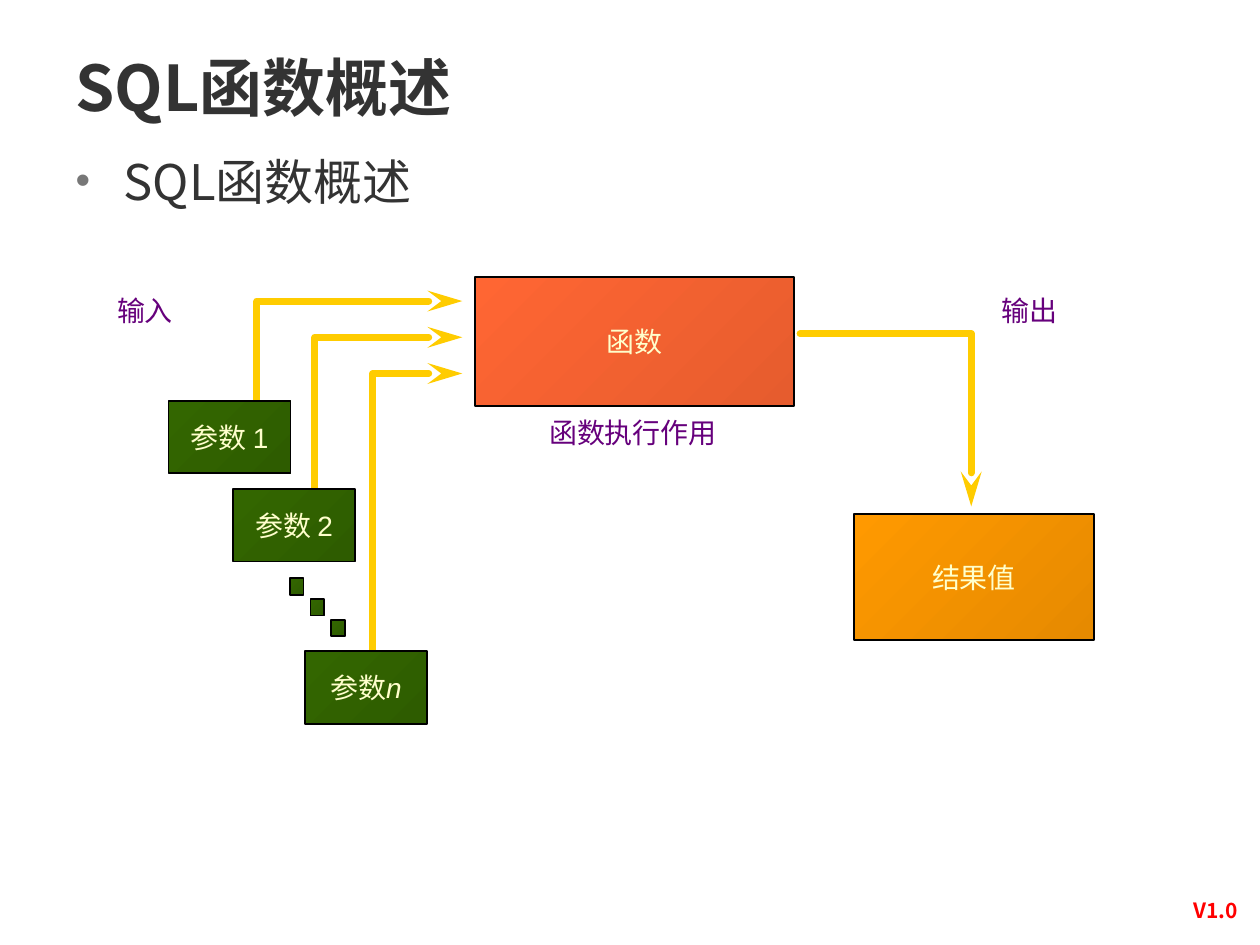
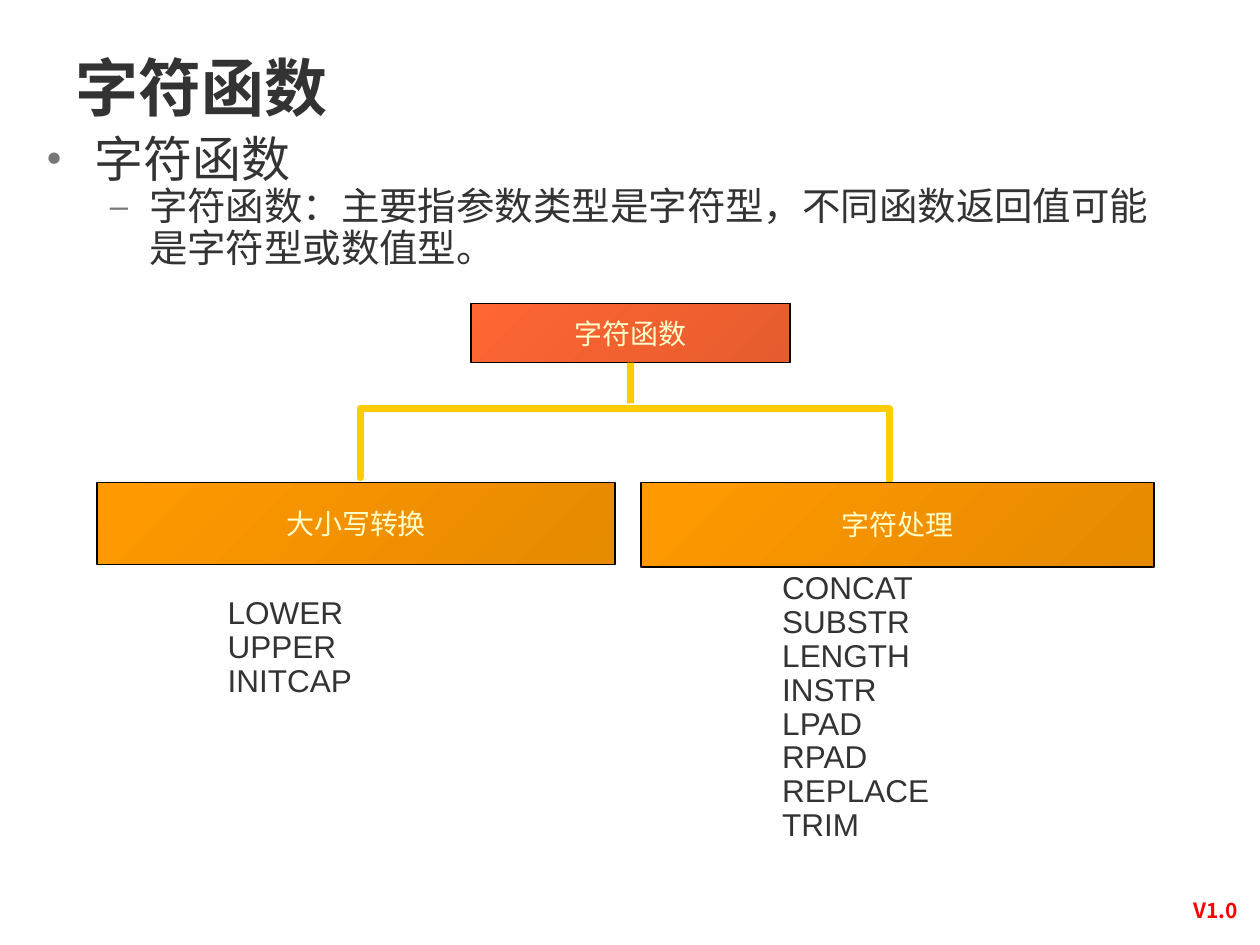
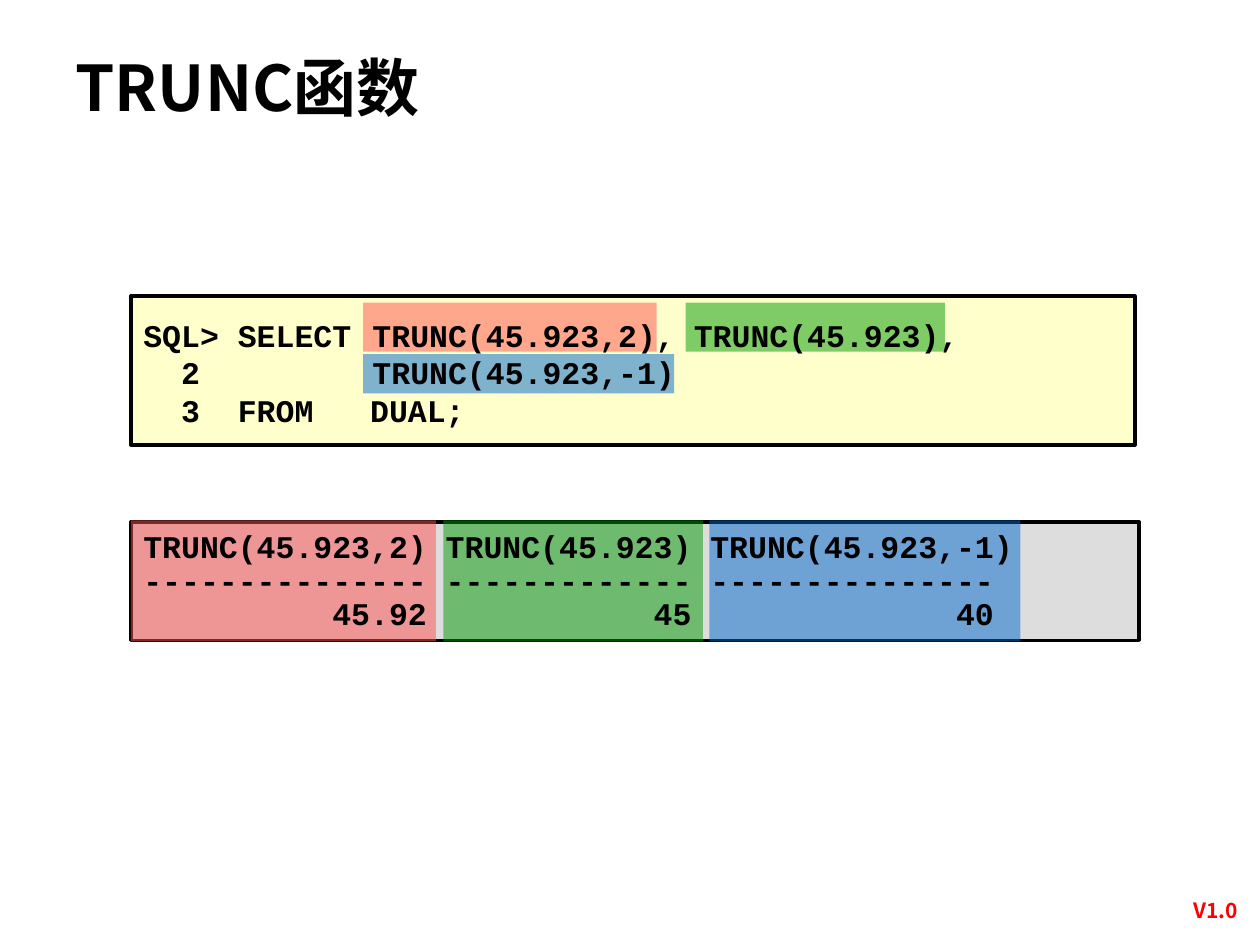
from lxml import etree
from pptx import Presentation
from pptx.dml.color import RGBColor
from pptx.enum.shapes import MSO_CONNECTOR, MSO_SHAPE
from pptx.enum.text import MSO_ANCHOR, MSO_AUTO_SIZE, PP_ALIGN
from pptx.oxml.ns import qn
from pptx.util import Cm, Pt

RECT = MSO_SHAPE.RECTANGLE
STRAIGHT = MSO_CONNECTOR.STRAIGHT
LEFT, CENTER = PP_ALIGN.LEFT, PP_ALIGN.CENTER
TOP, MIDDLE = MSO_ANCHOR.TOP, MSO_ANCHOR.MIDDLE
NO_FIT = MSO_AUTO_SIZE.NONE

BLACK = RGBColor(0x00, 0x00, 0x00)
TEXT = RGBColor(0x33, 0x33, 0x33)
CREAM = RGBColor(0xFF, 0xFF, 0xCC)
PURPLE = RGBColor(0x66, 0x00, 0x7C)
YELLOW = RGBColor(0xFF, 0xCC, 0x00)
SILVER = RGBColor(0xDD, 0xDD, 0xDD)
FOOTER_RED = RGBColor(0xFF, 0x00, 0x00)
RED_MARK = RGBColor(0xFF, 0x50, 0x50)
GREEN_MARK = RGBColor(0x00, 0x99, 0x00)
BLUE_MARK = RGBColor(0x00, 0x66, 0xCC)
CORAL = (RGBColor(0xFF, 0x66, 0x33), RGBColor(0xE6, 0x5C, 0x2E))
GREEN = (RGBColor(0x33, 0x66, 0x00), RGBColor(0x2E, 0x5C, 0x00))
ORANGE = (RGBColor(0xFF, 0x99, 0x00), RGBColor(0xE6, 0x8A, 0x00))
BULLET_GREY = "777777"

CJK = "Noto Sans CJK SC"
TITLE = {"size": Pt(36), "name": CJK, "bold": True}
FOOTER = {"size": Pt(12), "name": CJK, "bold": True, "color": FOOTER_RED}
BOX = {"size": Pt(16), "name": "Arial", "color": CREAM}
LABEL = BOX | {"color": PURPLE}
LIST = {"size": Pt(18), "name": "Arial", "color": TEXT}
CODE = {"size": Pt(18), "name": "Courier New", "bold": True, "color": BLACK}
# bullet, size, left margin and hanging indent in cm
LEVELS = [("•", 28, 0.97, 0.97), ("–", 22, 2.06, 0.79)]


def add_xml(parent, tag, **attrs):
    return etree.SubElement(parent, qn(tag), attrs)


def add_run(p, text, fmt):
    r = p.add_run()
    r.text = text
    for key, value in fmt.items():
        if key == "color":
            r.font.color.rgb = value
        else:
            setattr(r.font, key, value)
    if fmt["name"] == CJK:
        add_xml(r._r.get_or_add_rPr(), "a:ea", typeface=CJK)


def write_lines(tf, lines, fmt, align=LEFT, spacing=None, tabs=()):
    for i, line in enumerate(lines):
        p = tf.paragraphs[0] if i == 0 else tf.add_paragraph()
        p.alignment = align
        if spacing:
            p.line_spacing = spacing
        if tabs:
            tab_list = add_xml(p._p.get_or_add_pPr(), "a:tabLst")
            for pos in tabs:
                add_xml(tab_list, "a:tab", pos=str(Cm(pos)), algn="l")
        add_run(p, line, fmt)


def add_text(s, at, lines, fmt, anchor=TOP, **layout):
    tf = s.shapes.add_textbox(*map(Cm, at)).text_frame
    tf.word_wrap = True
    tf.vertical_anchor = anchor
    write_lines(tf, lines, fmt, **layout)


def add_rect(s, at, color, line_width=None, alpha=None):
    """Add a rectangle filled with one colour or with a gradient pair."""
    sp = s.shapes.add_shape(RECT, *map(Cm, at))
    sp.shadow.inherit = False
    if isinstance(color, RGBColor):
        sp.fill.solid()
        sp.fill.fore_color.rgb = color
    else:
        sp.fill.gradient()
        sp.fill.gradient_angle = 315
        for stop, rgb in zip(sp.fill.gradient_stops, color):
            stop.color.rgb = rgb
    if alpha:
        rgb = sp._element.spPr.find(".//" + qn("a:srgbClr"))
        add_xml(rgb, "a:alpha", val=str(alpha * 1000))
    if line_width:
        sp.line.color.rgb = BLACK
        sp.line.width = Pt(line_width)
    else:
        sp.line.fill.background()
    return sp


def add_box(s, at, colors, text="", italic=""):
    """Add a gradient box with a centred caption that may end in italics."""
    sp = add_rect(s, at, colors, 1)
    if text:
        tf = sp.text_frame
        tf.word_wrap = False
        tf.vertical_anchor = MIDDLE
        write_lines(tf, [text], BOX, CENTER)
        if italic:
            add_run(tf.paragraphs[0], italic, BOX | {"italic": True})
    return sp


def style_line(sp):
    sp.line.color.rgb = YELLOW
    sp.line.width = Pt(4)


def add_path(s, points, arrow=False):
    points = [(Cm(x), Cm(y)) for x, y in points]
    builder = s.shapes.build_freeform(*points[0])
    builder.add_line_segments(points[1:], close=False)
    sp = builder.convert_to_shape()
    sp.shadow.inherit = False
    sp.fill.background()
    style_line(sp)
    ln = sp.line._get_or_add_ln()
    ln.set("cap", "rnd")
    add_xml(ln, "a:round")
    if arrow:
        add_xml(ln, "a:tailEnd", type="stealth", w="med", len="lg")


def place(sp, at, anchor):
    sp.left, sp.top, sp.width, sp.height = map(Cm, at)
    tf = sp.text_frame
    tf.auto_size = NO_FIT
    tf.word_wrap = True
    tf.vertical_anchor = anchor
    return tf


def add_slide(prs, layout, title, color=TEXT):
    s = prs.slides.add_slide(prs.slide_layouts[layout])
    tf = place(s.shapes.title, (1.27, 0.76, 20.24, 1.96), MIDDLE)
    write_lines(tf, [title], TITLE | {"color": color})
    add_text(s, (23.5, 17.96, 2, 0.76), ["V1.0"], FOOTER, align=CENTER)
    return s


def fill_body(s, at, lines, spacing=1.0):
    """Write one bullet per line, each a level deeper than the one before."""
    tf = place(s.placeholders[1], at, TOP)
    for level, (text, (char, size, margin, hang)) in enumerate(zip(lines, LEVELS)):
        p = tf.paragraphs[0] if level == 0 else tf.add_paragraph()
        p.level = level
        p.line_spacing = spacing
        p.space_before = Pt(0)
        pPr = p._p.get_or_add_pPr()
        pPr.set("marL", str(Cm(margin)))
        pPr.set("indent", str(-Cm(hang)))
        add_xml(add_xml(pPr, "a:buClr"), "a:srgbClr", val=BULLET_GREY)
        add_xml(pPr, "a:buSzPct", val="85000")
        add_xml(pPr, "a:buFont", typeface="Arial")
        add_xml(pPr, "a:buChar", char=char)
        add_run(p, text, {"size": Pt(size), "name": CJK, "color": TEXT})


def overview_slide(prs):
    s = add_slide(prs, 1, "SQL函数概述")
    fill_body(s, (1.27, 2.92, 22.63, 13.79), ["SQL函数概述"])
    add_box(s, (9.58, 5.59, 6.43, 2.59), CORAL, "函数")
    add_text(s, (2.11, 5.79, 2.21, 1.27), ["输入"], LABEL)
    add_text(s, (9.14, 8.26, 7.24, 1.27), ["函数执行作用"], LABEL, align=CENTER)

    params = [(3.4, 8.08, "参数 1", ""), (4.7, 9.86, "参数 2", ""),
              (6.15, 13.13, "参数", "n")]
    for i, (_, top, _, _) in enumerate(params):
        x, y = 5.18 + 1.17 * i, 6.07 + 0.73 * i
        add_path(s, [(x, top + 0.2), (x, y), (9.32, y)], arrow=True)
    for left, top, text, italic in params:
        add_box(s, (left, top, 2.46, 1.46), GREEN, text, italic)
    for i in range(3):
        add_box(s, (5.84 + 0.42 * i, 11.66 + 0.42 * i, 0.28, 0.33), GREEN)

    add_path(s, [(16.13, 6.73), (19.58, 6.73), (19.58, 10.21)], arrow=True)
    add_text(s, (19.94, 5.79, 2.21, 1.27), ["输出"], LABEL)
    add_box(s, (17.22, 10.36, 4.83, 2.54), ORANGE, "结果值")


def character_slide(prs):
    s = add_slide(prs, 1, "字符函数")
    fill_body(s, (0.69, 2.59, 22.83, 10.49), [
        "字符函数",
        "字符函数：主要指参数类型是字符型，不同函数返回值可能是字符型或数值型。",
    ], 0.9)
    root = add_box(s, (9.5, 6.12, 6.43, 1.19), CORAL, "字符函数")
    add_text(s, (4.34, 11.91, 3.3, 2.84), ["LOWER", "UPPER", "INITCAP"],
             LIST, spacing=Pt(19.4))
    add_text(s, (15.52, 11.4, 6.43, 7.65),
             ["CONCAT", "SUBSTR", "LENGTH", "INSTR", "LPAD", "RPAD", "REPLACE", "TRIM"],
             LIST, spacing=Pt(19.4))

    stem = s.shapes.add_connector(STRAIGHT, 0, 0, Cm(12.71), Cm(8.13))
    stem.begin_connect(root, 2)
    style_line(stem)
    add_xml(stem._element.spPr, "a:effectLst")
    add_path(s, [(7.26, 9.63), (7.26, 8.23), (17.93, 8.23), (17.93, 9.7)])
    add_box(s, (1.96, 9.73, 10.44, 1.65), ORANGE, "大小写转换")
    add_box(s, (12.93, 9.73, 10.34, 1.7), ORANGE, "字符处理")


def trunc_slide(prs):
    s = add_slide(prs, 5, "TRUNC函数", BLACK)
    add_rect(s, (2.64, 5.97, 20.24, 3), CREAM, 2)
    add_rect(s, (2.64, 10.52, 20.32, 2.39), SILVER, 2)
    marks = [
        (RED_MARK, (2.64, 6.15), (7.32, 6.1, 5.92, 0.99)),
        (GREEN_MARK, (8.94, 5.23), (13.82, 6.1, 5.23, 0.99)),
        (BLUE_MARK, (14.3, 6.27), (7.32, 7.14, 6.27, 0.79)),
    ]
    for color, (left, width), call_at in marks:
        add_rect(s, (left, 10.49, width, 2.44), color, alpha=50)
        add_rect(s, call_at, color, alpha=50)
    add_text(s, (2.64, 5.31, 20.32, 4.39), [
        "SQL> SELECT \tTRUNC(45.923,2), TRUNC(45.923),",
        "  2  \t\tTRUNC(45.923,-1)",
        "  3  FROM   DUAL;",
    ], CODE, MIDDLE, spacing=Pt(21.6), tabs=(3.33, 4.62))
    add_text(s, (2.64, 10.57, 20.24, 2.36), [
        "TRUNC(45.923,2) TRUNC(45.923) TRUNC(45.923,-1)",
        "--------------- ------------- ---------------",
        "          45.92            45              40",
    ], CODE, spacing=Pt(19.4))


def main():
    prs = Presentation()
    prs.slide_width, prs.slide_height = Cm(25.4), Cm(19.05)
    overview_slide(prs)
    character_slide(prs)
    trunc_slide(prs)
    prs.save("out.pptx")


if __name__ == "__main__":
    main()
